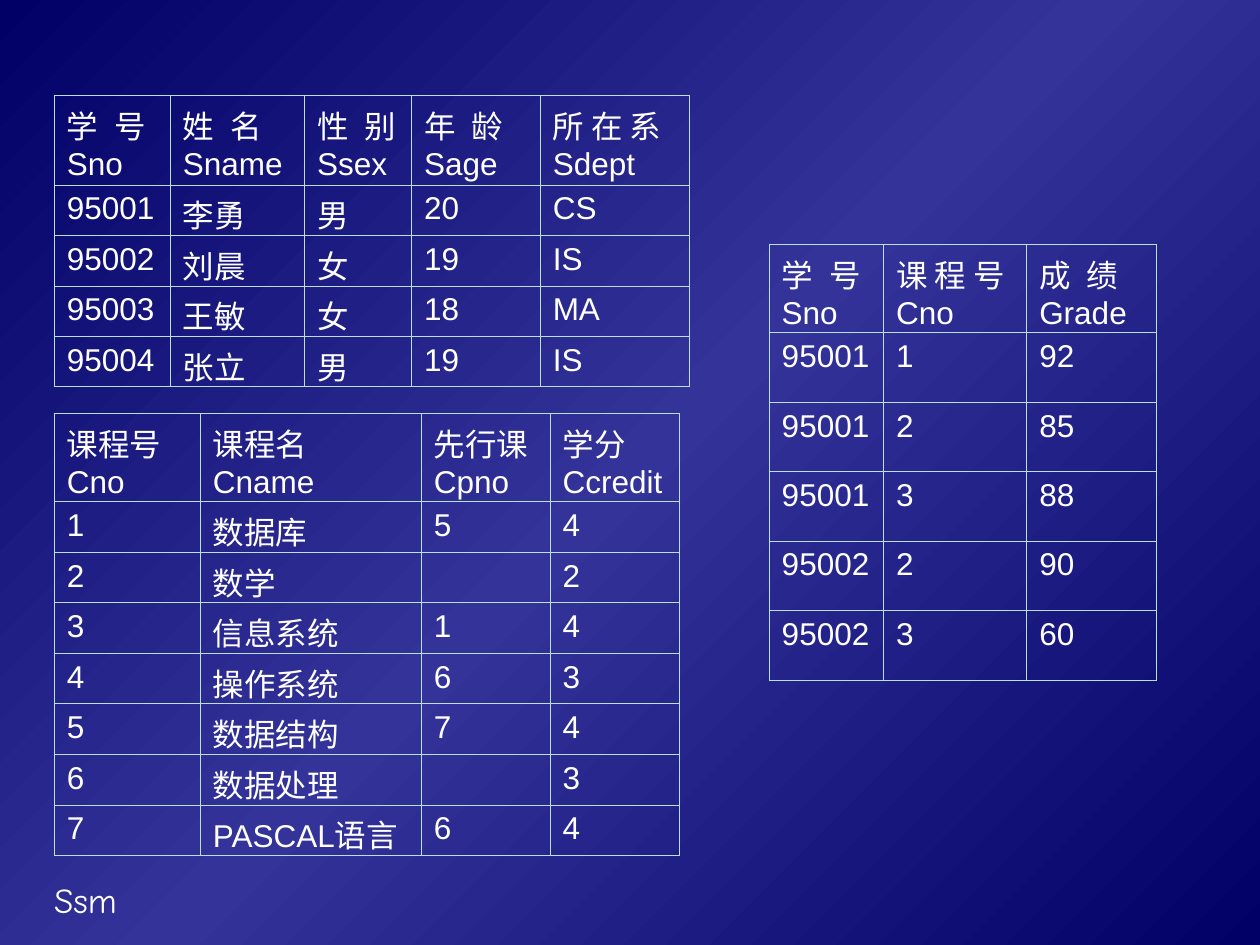
from copy import deepcopy

from lxml import etree
from pptx import Presentation
from pptx.dml.color import RGBColor
from pptx.oxml.ns import qn
from pptx.util import Pt

COLORS = {"navy": "000066", "indigo": "333399", "border": "BBE0E3", "text": "FFFFFF"}
BLANK_LAYOUT = 6
BORDER_TAGS = ("a:lnL", "a:lnR", "a:lnT", "a:lnB")
BORDER_WIDTH = 0.45
GAP = " "
GAP_SPACING = 5

STUDENTS = [
    [("学", GAP, "号Sno"), ("姓", GAP, "名Sname"), ("性", GAP, "别Ssex"),
     ("年", GAP, "龄Sage"), "所 在 系Sdept"],
    ["95001", "李勇", "男", "20", "CS"],
    ["95002", "刘晨", "女", "19", "IS"],
    ["95003", "王敏", "女", "18", "MA"],
    ["95004", "张立", "男", "19", "IS"],
]
COURSES = [
    ["课程号Cno", "课程名Cname", "先行课Cpno", "学分Ccredit"],
    ["1", "数据库", "5", "4"],
    ["2", "数学", "", "2"],
    ["3", "信息系统", "1", "4"],
    ["4", "操作系统", "6", "3"],
    ["5", "数据结构", "7", "4"],
    ["6", "数据处理", "", "3"],
    ["7", "PASCAL语言", "6", "4"],
]
GRADES = [
    [("学", GAP, "号Sno"), "课 程 号Cno", ("成", GAP, "绩Grade")],
    ["95001", "1", "92"],
    ["95001", "2", "85"],
    ["95001", "3", "88"],
    ["95002", "2", "90"],
    ["95002", "3", "60"],
]


def color(name):
    return RGBColor.from_string(COLORS[name])


def paint_background(page):
    fill = page.background.fill
    fill.gradient()
    fill.gradient_angle = 315
    stop_list = page.element.find(".//" + qn("a:gsLst"))
    stop_list.insert(1, deepcopy(stop_list[0]))
    for stop, name, position in zip(
        fill.gradient_stops, ("navy", "indigo", "navy"), (0, 0.5, 1)
    ):
        stop.color.rgb = color(name)
        stop.position = position


def add_span(para, text, size, font):
    span = para.add_run()
    span.text = text
    span.font.size = Pt(size)
    span.font.name = font
    span.font.color.rgb = color("text")
    return span


def add_borders(cell):
    properties = cell._tc.get_or_add_tcPr()
    for index, tag in enumerate(BORDER_TAGS):
        line = etree.Element(qn(tag), w=str(Pt(BORDER_WIDTH)))
        fill = etree.SubElement(line, qn("a:solidFill"))
        etree.SubElement(fill, qn("a:srgbClr"), val=COLORS["border"])
        properties.insert(index, line)


def fill_cell(cell, content):
    cell.fill.background()
    add_borders(cell)
    parts = (content,) if isinstance(content, str) else content
    para = cell.text_frame.paragraphs[0]
    for part in filter(None, parts):
        span = add_span(para, part, 18, "Arial")
        if part == GAP:
            span.font._element.set("spc", str(GAP_SPACING * 100))


def add_grid(page, left, top, widths, header_height, row_height, records):
    heights = [header_height] + [row_height] * (len(records) - 1)
    frame = page.shapes.add_table(
        len(records), len(widths), Pt(left), Pt(top), Pt(sum(widths)), Pt(sum(heights))
    )
    table = frame.table
    table.first_row = False
    table.horz_banding = False
    for column, width in zip(table.columns, widths):
        column.width = Pt(width)
    for row, height, record in zip(table.rows, heights, records):
        row.height = Pt(height)
        for cell, content in zip(row.cells, record):
            fill_cell(cell, content)


def add_label(page, left, top, width, height, text):
    box = page.shapes.add_textbox(Pt(left), Pt(top), Pt(width), Pt(height))
    box.text_frame.word_wrap = True
    add_span(box.text_frame.paragraphs[0], text, 20, "Comic Neue")


def main():
    deck = Presentation()
    deck.slide_width = Pt(720)
    deck.slide_height = Pt(540)
    page = deck.slides.add_slide(deck.slide_layouts[BLANK_LAYOUT])
    paint_background(page)
    add_label(page, 23.8, 498.2, 150, 31.7, "Ssm")
    add_grid(page, 31, 54.5, [66.25, 76.75, 61.25, 73.5, 85], 51.2, 28.8, STUDENTS)
    add_grid(page, 31, 236.2, [83.5, 126.2, 73.7, 73.7], 50.3, 28.9, COURSES)
    add_grid(page, 439.5, 139.7, [65.4, 81.8, 74], 50.3, 39.7, GRADES)
    deck.save("out.pptx")


if __name__ == "__main__":
    main()
